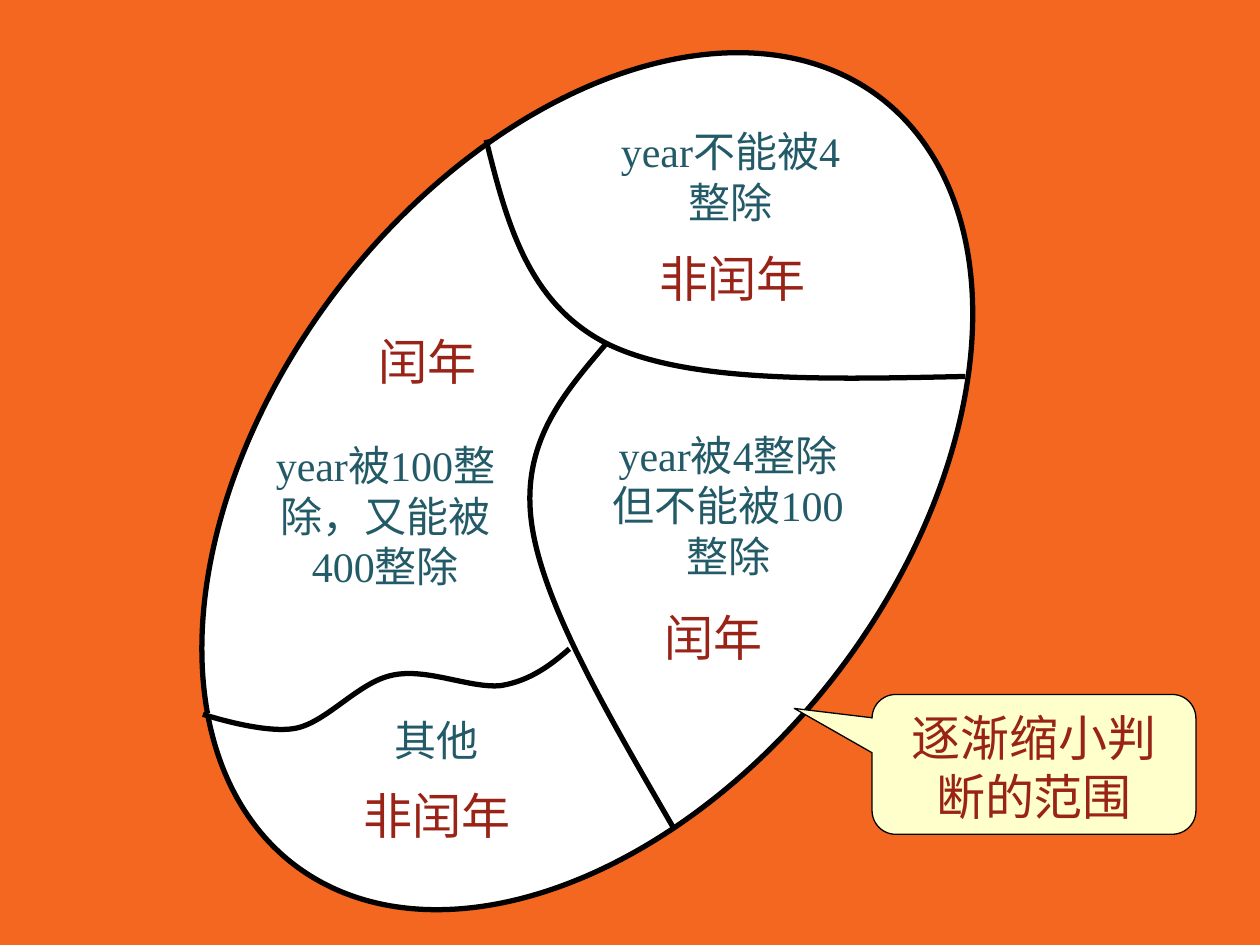
from lxml.etree import SubElement as add_sub
from pptx import Presentation
from pptx.dml.color import RGBColor as RGB
from pptx.enum.shapes import MSO_SHAPE as Shape
from pptx.enum.text import MSO_ANCHOR as Anchor, MSO_AUTO_SIZE as Auto, PP_ALIGN as Align
from pptx.oxml.ns import qn
from pptx.util import Cm, Pt

THEME = {
    "back": RGB(0xF3, 0x67, 0x21), "white": RGB(255, 255, 255),
    "ink": RGB(0, 0, 0), "note": RGB(0xFF, 0xFF, 0xCC),
    "rule": {"name": "Times New Roman", "size": Pt(24),
             "color": RGB(0x23, 0x5A, 0x67)},
    "verdict": {"name": "Times New Roman", "size": Pt(28),
                "color": RGB(0x99, 0x23, 0x17)},
    "thick": Pt(3), "thin": Pt(0.75),
}

# Content, lengths in cm: left, top, width, height
OVAL = (2.11, 3.35, 19.46, 12.7)
NOTE = ("逐渐缩小判断的范围", (17.58, 14, 6.53, 2.82), (-0.74, -0.4, 0.17))

# Borders: a start point, then two handles and an end point per curve
BY_FOUR = [(9.8, 2.82), (10.21, 4.47), (10.64, 6.12), (12.24, 6.93),
           (13.84, 7.72), (16.64, 7.65), (19.46, 7.59)]
BY_100 = [(12.22, 6.93), (11.35, 7.95), (10.49, 8.94), (10.72, 10.57),
          (10.95, 12.19), (12.27, 14.43), (13.56, 16.66)]
BY_400 = [(11.48, 13.08), (11.1, 13.41), (10.69, 13.72), (10.11, 13.82),
          (9.5, 13.89), (8.61, 13.46), (7.92, 13.61),
          (7.24, 13.74), (6.6, 14.55), (5.97, 14.68),
          (5.33, 14.81), (4.09, 14.4), (4.09, 14.4)]

# Regions, each with the border drawn before its rule and its verdict
REGIONS = [
    {"border": BY_FOUR, "rule": ["year不能被4 整除"],
     "box": (12.12, 2.41, 5.21, 2.31),
     "verdict": "非闰年", "spot": (12.29, 4.88)},
    {"rule": ["year被4整除", "但不能被100整除"],
     "box": (11.71, 8.53, 5.94, 3.33), "next": BY_100,
     "verdict": "闰年", "spot": (11.91, 12.12)},
    {"border": BY_400, "fill": THEME["white"],
     "rule": ["year被100整除，又能被400整除"],
     "box": (5, 8.74, 5.54, 3.33),
     "verdict": "闰年", "spot": (6.15, 6.55)},
    {"rule": ["其他"], "box": (7.7, 14.27, 2.51, 1.3), "align": Align.LEFT,
     "verdict": "非闰年", "spot": (6.34, 15.72)},
]
VERDICT_SIZE = (4.95, 1.45)


def place(box):
    return [Cm(v) for v in box]


def paint(shape, fill, width):
    shape.shadow.inherit = False
    if fill is None:
        shape.fill.background()
    else:
        shape.fill.solid()
        shape.fill.fore_color.rgb = fill
    shape.line.color.rgb = THEME["ink"]
    shape.line.width = width


def write(frame, lines, style, align=Align.CENTER):
    frame.word_wrap = True
    for i, line in enumerate(lines):
        para = frame.paragraphs[0] if i == 0 else frame.add_paragraph()
        para.alignment = align
        run = para.add_run()
        run.text = line
        for key, val in style.items():
            if key == "color":
                run.font.color.rgb = val
            else:
                setattr(run.font, key, val)


def label(slide, lines, box, style, align=Align.CENTER):
    frame = slide.shapes.add_textbox(*place(box)).text_frame
    write(frame, lines, style, align)
    frame.auto_size = Auto.SHAPE_TO_FIT_TEXT


def border(slide, knots, fill=None):
    first, *rest = [place(knot) for knot in knots]
    pen = slide.shapes.build_freeform(*first, scale=1.0)
    pen.add_line_segments(rest, close=False)
    shape = pen.convert_to_shape()
    # Turn each three straight steps into one cubic curve
    trail = next(shape._element.iter(qn("a:path")))
    steps = trail.findall(qn("a:lnTo"))
    for i in range(0, len(steps), 3):
        curve = add_sub(trail, qn("a:cubicBezTo"))
        for step in steps[i:i + 3]:
            curve.append(step[0])
            trail.remove(step)
    paint(shape, fill, THEME["thick"])


def main():
    deck = Presentation()
    deck.slide_width, deck.slide_height = Cm(25.4), Cm(19.05)
    slide = deck.slides.add_slide(deck.slide_layouts[6])
    slide.background.fill.solid()
    slide.background.fill.fore_color.rgb = THEME["back"]

    # Tilted oval
    oval = slide.shapes.add_shape(Shape.OVAL, *place(OVAL))
    oval.rotation = 307.4
    paint(oval, THEME["white"], THEME["thick"])

    # Borders, rules and verdicts
    for part in REGIONS:
        if "border" in part:
            border(slide, part["border"], part.get("fill"))
        label(slide, part["rule"], part["box"], THEME["rule"],
              part.get("align", Align.CENTER))
        if "next" in part:
            border(slide, part["next"])
        label(slide, [part["verdict"]], part["spot"] + VERDICT_SIZE,
              THEME["verdict"])

    # Callout
    text, box, bends = NOTE
    note = slide.shapes.add_shape(Shape.ROUNDED_RECTANGULAR_CALLOUT, *place(box))
    for i, bend in enumerate(bends):
        note.adjustments[i] = bend
    paint(note, THEME["note"], THEME["thin"])
    note.text_frame.vertical_anchor = Anchor.TOP
    write(note.text_frame, [text], THEME["verdict"])

    deck.save("out.pptx")


if __name__ == "__main__":
    main()
